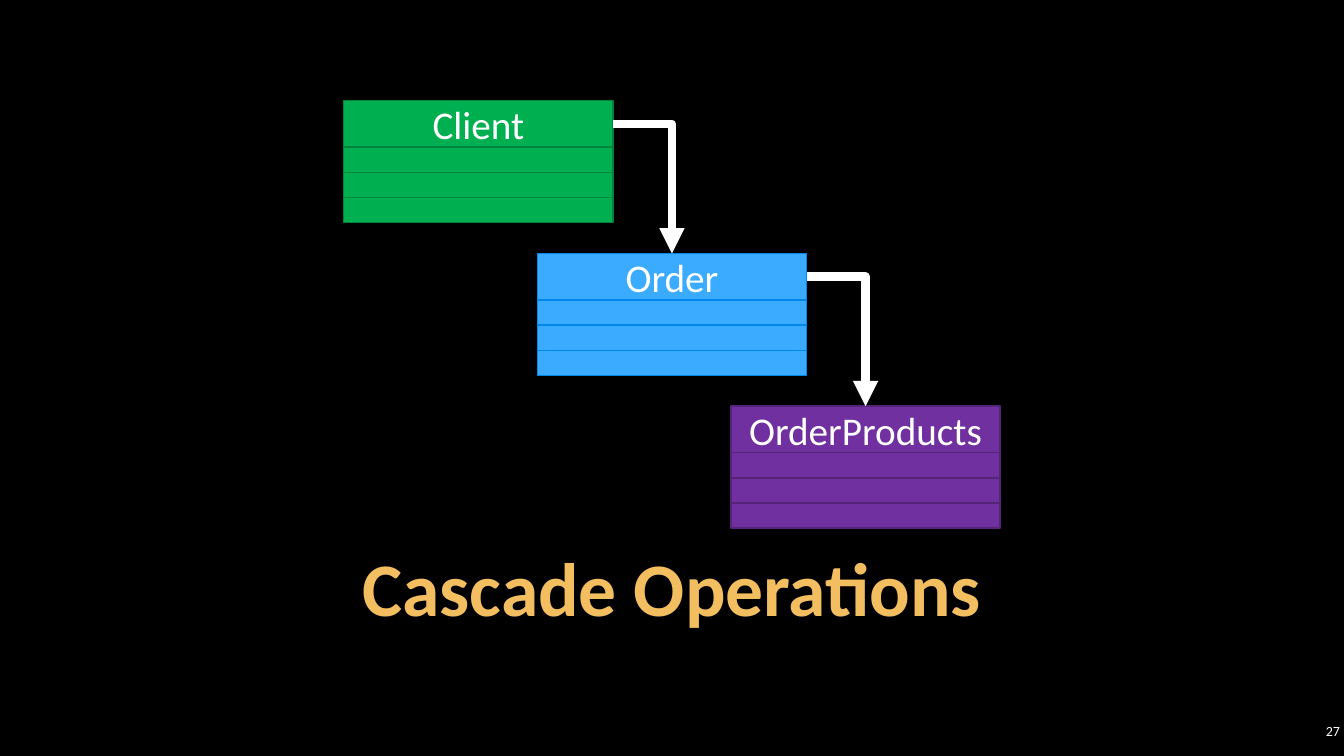
from lxml import etree
from pptx import Presentation
from pptx.dml.color import RGBColor
from pptx.enum.shapes import MSO_CONNECTOR, MSO_SHAPE
from pptx.enum.text import MSO_ANCHOR, PP_ALIGN
from pptx.oxml.ns import qn
from pptx.util import Inches, Pt

RECTANGLE = MSO_SHAPE.RECTANGLE
ELBOW = MSO_CONNECTOR.ELBOW
CENTER, RIGHT = PP_ALIGN.CENTER, PP_ALIGN.RIGHT
MIDDLE, BOTTOM = MSO_ANCHOR.MIDDLE, MSO_ANCHOR.BOTTOM
TOP_SIDE, RIGHT_SIDE = 0, 3

FONT = "Calibri"
COLORS = {
    "background": "000000",
    "text": "FFFFFF",
    "title": "F3BE60",
    "arrow": "FFFFFF",
    "client": "00B050",
    "client_edge": "00843C",
    "order": "3BABFF",
    "order_edge": "0087EC",
    "products": "7030A0",
    "products_edge": "542478",
}
ENTITIES = [("Client", "client"), ("Order", "order"), ("OrderProducts", "products")]
ENTITY_WIDTH, HEADER_HEIGHT, FIELD_HEIGHT, FIELD_COUNT = 2.67, 0.46, 0.25, 3
STEP_X, STEP_Y = 1.92, 1.515


def color(name):
    return RGBColor.from_string(COLORS[name])


def write(frame, text, size, color_name, align, anchor, bold=False):
    frame.word_wrap = True
    frame.vertical_anchor = anchor
    paragraph = frame.paragraphs[0]
    paragraph.alignment = align
    run = paragraph.add_run()
    run.text = text
    run.font.name = FONT
    run.font.size = Pt(size)
    run.font.bold = bold
    run.font.color.rgb = color(color_name)
    return paragraph


def add_label(slide, left, top, width, height, *text_style, bold=False):
    """Add a text box with narrow margins and return its paragraph."""
    label = slide.shapes.add_textbox(*map(Inches, (left, top, width, height)))
    frame = label.text_frame
    frame.margin_left = frame.margin_right = Inches(0.04)
    frame.margin_top = frame.margin_bottom = Inches(0.04)
    return write(frame, *text_style, bold=bold)


def add_row(slide, left, top, width, height, palette):
    row = slide.shapes.add_shape(RECTANGLE, *map(Inches, (left, top, width, height)))
    row.shadow.inherit = False
    row.fill.solid()
    row.fill.fore_color.rgb = color(palette)
    row.line.color.rgb = color(palette + "_edge")
    row.line.width = Pt(1)
    return row


def add_entity(slide, left, top, width, name, palette):
    """Add a header with empty field rows below it and return the header."""
    header = add_row(slide, left, top, width, HEADER_HEIGHT, palette)
    write(header.text_frame, name, 28, "text", CENTER, MIDDLE)
    for index in range(FIELD_COUNT):
        field_top = top + HEADER_HEIGHT + index * FIELD_HEIGHT
        add_row(slide, left, field_top, width, FIELD_HEIGHT, palette)
    return header


def add_cascade_arrow(slide, parent, child):
    """Lead from the parent's right side down to the child's top with one bend."""
    arrow = slide.shapes.add_connector(ELBOW, 0, 0, 0, 0)
    arrow.begin_connect(parent, RIGHT_SIDE)
    arrow.end_connect(child, TOP_SIDE)
    arrow.line.color.rgb = color("arrow")
    arrow.line.width = Pt(6)
    properties = arrow._element.spPr
    properties.find(qn("a:prstGeom")).set("prst", "bentConnector2")
    etree.SubElement(properties.find(qn("a:ln")), qn("a:tailEnd"), type="triangle")
    etree.SubElement(properties, qn("a:effectLst"))


def add_cascade(slide, left, top):
    headers = [
        add_entity(slide, left + step * STEP_X, top + step * STEP_Y,
                   ENTITY_WIDTH, name, palette)
        for step, (name, palette) in enumerate(ENTITIES)
    ]
    for parent, child in zip(headers, headers[1:]):
        add_cascade_arrow(slide, parent, child)


def main():
    deck = Presentation()
    deck.slide_width, deck.slide_height = Inches(13.33), Inches(7.5)
    slide = deck.slides.add_slide(deck.slide_layouts[6])
    slide.background.fill.solid()
    slide.background.fill.fore_color.rgb = color("background")

    title = add_label(slide, 1, 5.42, 11.33, 0.9,
                      "Cascade Operations", 54, "title", CENTER, BOTTOM, bold=True)
    title.line_spacing = 0.9
    add_label(slide, 12.86, 7.14, 0.47, 0.22, "27", 10, "text", RIGHT, MIDDLE)
    add_cascade(slide, 3.41, 1)
    deck.save("out.pptx")


if __name__ == "__main__":
    main()
